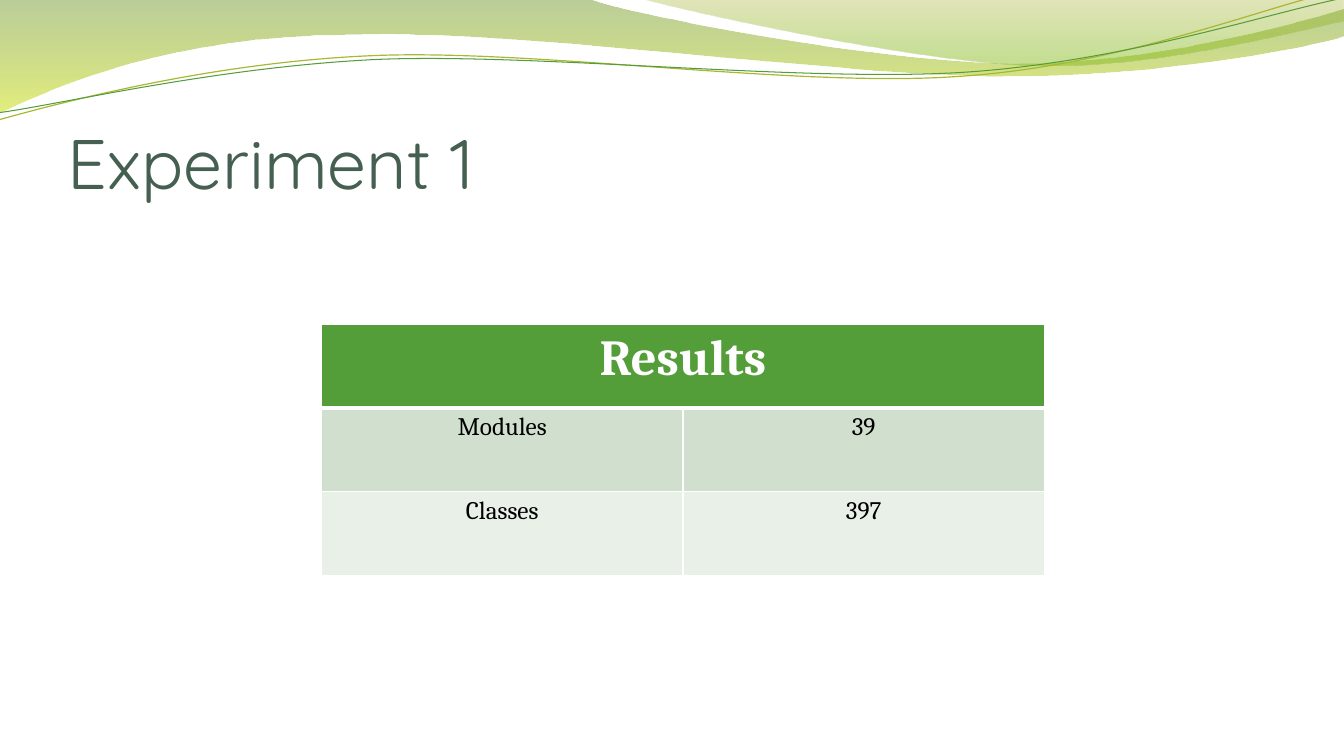
from pptx import Presentation
from pptx.dml.color import RGBColor
from pptx.enum.text import MSO_ANCHOR, PP_ALIGN
from pptx.oxml import parse_xml
from pptx.oxml.ns import nsdecls, qn
from pptx.util import Cm, Pt

WIDTH, HEIGHT = 33.87, 19.05
LINE_TILT = 357.3

BAND = [(0, 0), (14.91, -0.01),
        (16.1, 0.43, 22.45, 1.6, 25.68, 1.6),
        (28.88, 1.6, 32.44, 0.66, 33.86, 0.23), (33.88, 0.91),
        (33.3, 1.12, 29.44, 1.93, 25.25, 1.92),
        (21.06, 1.92, 12.93, 0.71, 8.71, 0.88),
        (4.37, 0.91, 1.55, 2.11, -0.05, 2.87)]
CREST = [(16.21, -0.02),
         (17.25, 0.28, 23.09, 1.57, 26.04, 1.65),
         (28.96, 1.75, 32.56, 0.81, 33.86, 0.53), (33.86, 0)]
OLIVE_LINE = [(-0.08, 2.22),
              (1.56, 1.85, 5.34, 1.03, 9.38, 1.05),
              (13.4, 1.06, 20, 2.36, 24.07, 2.27),
              (28.17, 2.21, 31.82, 0.9, 33.84, 0.55)]
GREEN_LINE = [(-0.07, 2.04),
              (1.53, 1.9, 5.54, 1.14, 9.59, 1.15),
              (13.65, 1.19, 20.19, 2.23, 24.24, 2.17),
              (28.28, 2.1, 31.92, 1.06, 33.91, 0.75)]
RESULTS = [("Modules", "39", "D1DFCE"), ("Classes", "397", "E9F0E8")]


def rgb(value):
    """Return the colour for a hex string."""
    return RGBColor.from_string(value)


def add_outline(slide, left, top, path, close):
    """Draw straight (x, y) and cubic (six-number) segments without fill."""
    points = [(Cm(left + x), Cm(top + y)) for segment in path
              for x, y in zip(segment[::2], segment[1::2])]
    builder = slide.shapes.build_freeform(*points[0])
    builder.add_line_segments(points[1:], close=close)
    sp = builder.convert_to_shape()
    sp.shadow.inherit = False
    sp.fill.background()
    steps = iter(list(sp._element.iter(qn("a:lnTo"))))
    for segment in path[1:]:
        step = next(steps)
        if len(segment) == 6:
            curve = parse_xml(f'<a:cubicBezTo {nsdecls("a")}/>')
            step.addprevious(curve)
            for knot in (step, next(steps), next(steps)):
                curve.append(knot[0])
                knot.getparent().remove(knot)
    return sp


def fill_gradient(sp, stops):
    """Fill a shape from top to bottom with (position, colour, opacity) stops."""
    stops_xml = "".join(
        f'<a:gs pos="{pos * 1000}"><a:srgbClr val="{color}">'
        f'<a:alpha val="{opacity * 1000}"/></a:srgbClr></a:gs>'
        for pos, color, opacity in stops)
    gradient = parse_xml(
        f'<a:gradFill {nsdecls("a")} rotWithShape="1"><a:gsLst>{stops_xml}</a:gsLst>'
        '<a:lin ang="5400000" scaled="0"/></a:gradFill>')
    props = sp._element.spPr
    props.replace(props.find(qn("a:noFill")), gradient)


def add_waves(slide, left, top):
    """Draw the gradient waves and thin lines along the top edge."""
    for path, stops in (
            (BAND, [(0, "69921C", 45), (100, "CCE10F", 55)]),
            (CREST, [(0, "9BAA1A", 30), (80, "81BA16", 45)])):
        sp = add_outline(slide, left, top, path, True)
        sp.line.fill.background()
        fill_gradient(sp, stops)
    for path, color, weight in ((OLIVE_LINE, "A9B733", 0.85),
                                (GREEN_LINE, "549E39", 0.75)):
        sp = add_outline(slide, left, top, path, False)
        sp.rotation = LINE_TILT
        sp.line.color.rgb = rgb(color)
        sp.line.width = Pt(weight)


def style_text(p, size, color, font):
    """Set the font of a paragraph."""
    p.font.size, p.font.name = Pt(size), font
    p.font.color.rgb = rgb(color)


def add_title(slide, left, top, width, height, text):
    """Place the slide title at the bottom of its box."""
    tf = slide.shapes.add_textbox(Cm(left), Cm(top), Cm(width), Cm(height)).text_frame
    tf.word_wrap = True
    tf.vertical_anchor = MSO_ANCHOR.BOTTOM
    tf.margin_left = tf.margin_right = tf.margin_bottom = 0
    tf.margin_top = Cm(0.13)
    p = tf.paragraphs[0]
    p.text = text
    style_text(p, 50, "455F51", "Quicksand")


def set_borders(cell, **weights):
    """Draw white cell borders with the given weights in points."""
    props = cell._tc.get_or_add_tcPr()
    for index, (side, weight) in enumerate(weights.items()):
        props.insert(index, parse_xml(
            f'<a:ln{side} {nsdecls("a")} w="{Pt(weight)}"><a:solidFill>'
            f'<a:srgbClr val="FFFFFF"/></a:solidFill></a:ln{side}>'))


def fill_cell(cell, text, fill, size=18, color="000000", bold=False):
    """Write centred text in a filled cell."""
    cell.fill.solid()
    cell.fill.fore_color.rgb = rgb(fill)
    p = cell.text_frame.paragraphs[0]
    p.text = text
    p.alignment = PP_ALIGN.CENTER
    p.font.bold = bold
    style_text(p, size, color, "Cambria")


def add_results(slide, left, top, width, height):
    """Build the results table with a merged heading row."""
    table = slide.shapes.add_table(len(RESULTS) + 1, 2, Cm(left), Cm(top),
                                   Cm(width), Cm(height)).table
    header = table.cell(0, 0)
    header.merge(table.cell(0, 1))
    fill_cell(header, "Results", "549E39", 36, "FFFFFF", True)
    set_borders(header, L=1, R=1, T=1, B=3)
    for row, (label, value, fill) in enumerate(RESULTS, 1):
        for col, text in enumerate((label, value)):
            fill_cell(table.cell(row, col), text, fill)


def main():
    """Build and save the slide."""
    prs = Presentation()
    prs.slide_width, prs.slide_height = Cm(WIDTH), Cm(HEIGHT)
    slide = prs.slides.add_slide(prs.slide_layouts[6])
    add_waves(slide, 0, 0)
    add_title(slide, 1.7, 1.96, 30.48, 3.18, "Experiment 1")
    add_results(slide, 8.1, 8.18, 18.22, 6.32)
    prs.save("out.pptx")


if __name__ == "__main__":
    main()
